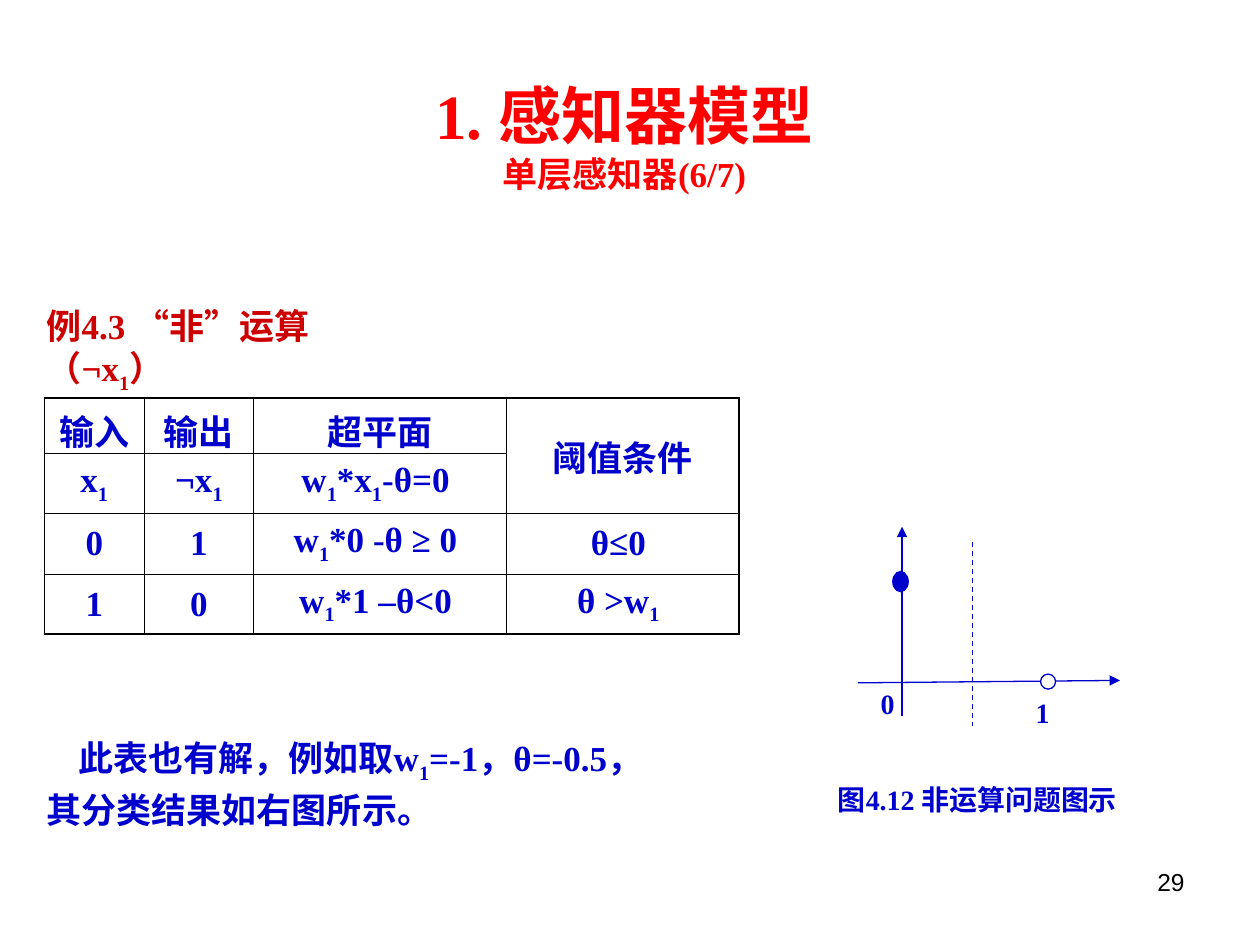
from pptx import Presentation
from pptx.dml.color import RGBColor
from pptx.enum import dml, shapes, text
from pptx.oxml import parse_xml
from pptx.oxml.ns import nsdecls, qn
from pptx.util import Pt

RED = RGBColor(0xFF, 0, 0)
DARK_RED = RGBColor(0xCC, 0, 0)
BLUE = RGBColor(0, 0, 0xCC)
BLACK = RGBColor(0, 0, 0)
WHITE = RGBColor(0xFF, 0xFF, 0xFF)
SERIF = "Times New Roman"


def write(paragraph, content, size=20, color=BLUE, font=SERIF, bold=True,
          align=text.PP_ALIGN.LEFT):
    """Fill a paragraph; the character after each underscore is a subscript."""
    paragraph.alignment = align
    plain, *indexed = content.split("_")
    pieces = [(plain, False)]
    for part in indexed:
        pieces += [(part[0], True), (part[1:], False)]
    for piece, lowered in pieces:
        if piece:
            run = paragraph.add_run()
            run.text = piece
            run.font.size, run.font.bold, run.font.name = Pt(size), bold, font
            run.font.color.rgb = color
            if lowered:
                run.font._element.set("baseline", "-25000")


def add_text(content, left, top, width, height, fill=None, margins=(7.2, 3.6), **style):
    box = slide.shapes.add_textbox(Pt(left), Pt(top), Pt(width), Pt(height))
    frame = box.text_frame
    frame.word_wrap = True
    frame.margin_left = frame.margin_right = Pt(margins[0])
    frame.margin_top = frame.margin_bottom = Pt(margins[1])
    if fill is not None:
        box.fill.solid()
        box.fill.fore_color.rgb = fill
    write(frame.paragraphs[0], content, **style)
    return frame.paragraphs[0]


prs = Presentation()
prs.slide_width, prs.slide_height = Pt(720), Pt(540)
slide = prs.slides.add_slide(prs.slide_layouts[5])

# Title and subtitle
title = slide.shapes.title
title.left, title.top, title.width, title.height = Pt(22.3), Pt(40.3), Pt(669), Pt(75)
heading = title.text_frame
heading.auto_size = text.MSO_AUTO_SIZE.NONE
heading.vertical_anchor = text.MSO_ANCHOR.TOP
write(heading.paragraphs[0], "1. 感知器模型", size=36, color=RED, align=text.PP_ALIGN.CENTER)
write(heading.add_paragraph(), "单层感知器(6/7)", color=RED, align=text.PP_ALIGN.CENTER)

# Page number and example heading
add_text("29", 516, 492, 168, 37.5, size=14, color=BLACK, font="Arial", bold=False,
         align=text.PP_ALIGN.RIGHT)
add_text("例4.3 “非”运算（¬x_1）", 19.5, 170.6, 226.8, 59, color=DARK_RED)

# Truth table
rows = [
    ["输入", "输出", "超平面", "阈值条件"],
    ["x_1", "¬x_1", "w_1*x_1-θ=0 ", ""],
    ["0", "1", "w_1*0 -θ ≥ 0 ", "θ≤0 "],
    ["1", "0", "w_1*1 –θ<0 ", "θ >w_1 "],
]
column_widths = [57, 62.5, 144.5, 133]
row_heights = [31.4, 34.5, 34.5, 34.5]
truth_table = slide.shapes.add_table(4, 4, Pt(25.4), Pt(227.5), Pt(sum(column_widths)),
                                     Pt(sum(row_heights))).table
truth_table.first_row = truth_table.horz_banding = False
for column, width in zip(truth_table.columns, column_widths):
    column.width = Pt(width)
for row, height in zip(truth_table.rows, row_heights):
    row.height = Pt(height)
truth_table.cell(0, 3).merge(truth_table.cell(1, 3))

for r, values in enumerate(rows):
    for c, value in enumerate(values):
        cell = truth_table.cell(r, c)
        cell.vertical_anchor = text.MSO_ANCHOR.MIDDLE
        write(cell.text_frame.paragraphs[0], value, align=text.PP_ALIGN.CENTER)
        outer_edges = {"L": c == 0, "R": c == 3, "T": r == 0, "B": r == 3}
        for side, is_outer in outer_edges.items():
            cell._tc.get_or_add_tcPr().append(parse_xml(
                f'<a:ln{side} {nsdecls("a")} w="{Pt(1.08 if is_outer else 0.45)}">'
                f'<a:solidFill><a:srgbClr val="{BLACK}"/></a:solidFill></a:ln{side}>'))
        cell.fill.background()

# Conclusion
conclusion = add_text("此表也有解，例如取w_1=-1，θ=-0.5，其分类结果如右图所示。",
                      19.5, 414.7, 368.6, 66.2)
conclusion.line_spacing = 1.1
conclusion._p.get_or_add_pPr().set("indent", str(Pt(18)))

# Diagram labels
for label, *place in [("图4.12 非运算问题图示", 477.4, 446.4, 183, 31),
                      ("0", 501.8, 391.7, 20.2, 27.4),
                      ("1", 590.4, 396.7, 18.7, 30.2)]:
    add_text(label, *place, fill=WHITE, margins=(1.4, 0.7), size=16)

# Axes with arrowheads, and the dashed separating line
for x1, y1, x2, y2, is_axis in [(490.3, 390.2, 640, 388.8, True),
                                (515.5, 409, 515.5, 301, True),
                                (555.8, 309.6, 555.8, 414.7, False)]:
    line = slide.shapes.add_connector(shapes.MSO_CONNECTOR.STRAIGHT,
                                      Pt(x1), Pt(y1), Pt(x2), Pt(y2))
    line.line.color.rgb = BLUE
    line.line.width = Pt(0.75)
    if is_axis:
        line.line._get_or_add_ln().append(
            parse_xml(f'<a:tailEnd {nsdecls("a")} type="triangle"/>'))
    else:
        line.line.dash_style = dml.MSO_LINE.DASH
    line._element.spPr.append(line._element.makeelement(qn("a:effectLst"), {}))

# Sample points: filled for output 1, hollow for output 0
for left, top, width, height, fill in [(510.2, 326.6, 8.8, 11.5, BLUE),
                                       (594.6, 385.2, 8.6, 8.6, WHITE)]:
    point = slide.shapes.add_shape(shapes.MSO_SHAPE.OVAL,
                                   Pt(left), Pt(top), Pt(width), Pt(height))
    point.shadow.inherit = False
    point.fill.solid()
    point.fill.fore_color.rgb = fill
    point.line.color.rgb = BLUE
    point.line.width = Pt(0.75)

prs.save("out.pptx")
